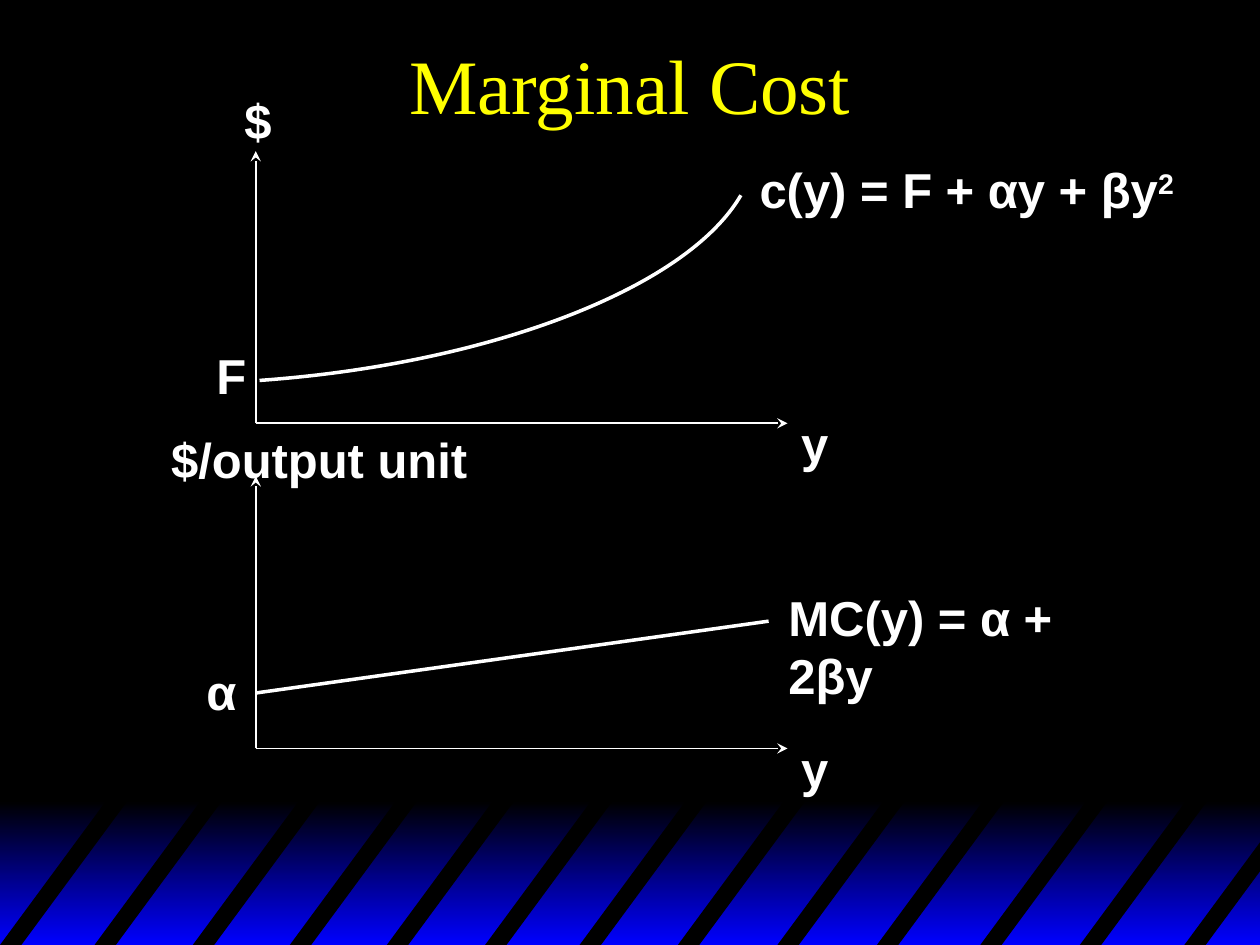
from lxml import etree
from pptx import Presentation
from pptx import util as u
from pptx.dml.color import RGBColor
from pptx.enum import shapes, text
from pptx.oxml.ns import qn

WHITE, BLACK, BLUE, YELLOW = "FFFFFF", "000000", "0000FF", "FFFF00"
SLIDE_WIDTH, SLIDE_HEIGHT = 10, 7.5
STRIPE_LEFTS = [0, 0.75, 1.53, 2.3, 3.07, 3.85, 4.6, 5.38, 6.17, 6.96, 7.78, 8.57, 9.4]
STRIPE_WIDTH, STRIPE_LEAN = 0.17, 0.84


def paint(color_format, color):
    color_format.rgb = RGBColor.from_string(color)


def write_text(frame, content, size=28, font="Arial", color=WHITE, bold=True,
               align=text.PP_ALIGN.LEFT, superscript=""):
    paragraph = frame.paragraphs[0]
    paragraph.alignment = align
    for part, baseline in ((content, 0), (superscript, 30000)):
        if not part:
            continue
        run = paragraph.add_run()
        run.text = part
        run.font.size = u.Pt(size)
        run.font.name = font
        run.font.bold = bold
        paint(run.font.color, color)
        if baseline:
            run._r.get_or_add_rPr().set("baseline", str(baseline))


def add_label(slide, content, left, top, width, wrap=False, **formatting):
    label = slide.shapes.add_textbox(u.Inches(left), u.Inches(top), u.Inches(width), u.Inches(0.57))
    label.text_frame.word_wrap = wrap
    write_text(label.text_frame, content, **formatting)


def add_line(slide, start, end, weight, arrow=False):
    line = slide.shapes.add_connector(shapes.MSO_CONNECTOR.STRAIGHT,
                                      *(u.Inches(value) for value in (*start, *end)))
    paint(line.line.color, WHITE)
    line.line.width = u.Pt(weight)
    properties = line._element.spPr
    if arrow:
        etree.SubElement(properties.find(qn("a:ln")), qn("a:tailEnd"), type="stealth")
    etree.SubElement(properties, qn("a:effectLst"))


def add_outline(slide, points, close):
    (x, y), *others = points
    builder = slide.shapes.build_freeform(u.Inches(x), u.Inches(y))
    builder.add_line_segments([(u.Inches(x), u.Inches(y)) for x, y in others], close=close)
    outline = builder.convert_to_shape()
    outline.shadow.inherit = False
    return outline


def add_curve(slide, start, first_control, second_control, end):
    curve = add_outline(slide, [start, first_control, second_control, end], close=False)
    curve.fill.background()
    paint(curve.line.color, WHITE)
    curve.line.width = u.Pt(2)
    outline_path = next(curve._element.iter(qn("a:path")))
    bezier = etree.SubElement(outline_path, qn("a:cubicBezTo"))
    for segment in outline_path.findall(qn("a:lnTo")):
        bezier.append(segment[0])
        outline_path.remove(segment)


def draw_striped_band(slide, top):
    band = slide.shapes.add_shape(shapes.MSO_SHAPE.RECTANGLE, 0, u.Inches(top),
                                  u.Inches(SLIDE_WIDTH), u.Inches(SLIDE_HEIGHT - top))
    band.shadow.inherit = False
    band.line.fill.background()
    band.fill.gradient()
    band.fill.gradient_angle = 270
    for stop, color, position in zip(band.fill.gradient_stops, (BLACK, BLUE), (0, 1)):
        paint(stop.color, color)
        stop.position = position

    height = SLIDE_HEIGHT - top
    for left in STRIPE_LEFTS:
        right = left + STRIPE_WIDTH
        tops = []
        for edge in (left, right):
            x = min(edge + STRIPE_LEAN, SLIDE_WIDTH)
            tops.append((x, SLIDE_HEIGHT - height * (x - edge) / STRIPE_LEAN))
        stripe = add_outline(slide, [(left, SLIDE_HEIGHT), *tops, (right, SLIDE_HEIGHT)], close=True)
        stripe.fill.solid()
        paint(stripe.fill.fore_color, BLACK)
        stripe.line.fill.background()


def draw_title(slide, left, top, width, height):
    title = slide.shapes.title
    title.left, title.top = u.Inches(left), u.Inches(top)
    title.width, title.height = u.Inches(width), u.Inches(height)
    title.text_frame.vertical_anchor = text.MSO_ANCHOR.MIDDLE
    write_text(title.text_frame, "Marginal Cost", size=44, font="Times New Roman",
               color=YELLOW, bold=False, align=text.PP_ALIGN.CENTER)


def draw_axes(slide, left, top, width, height):
    origin = (left, top + height)
    add_line(slide, origin, (left, top), 1, arrow=True)
    add_line(slide, origin, (left + width, top + height), 1, arrow=True)
    add_label(slide, "y", left + width + 0.01, top + height - 0.13, 0.42)


def draw_total_cost(slide, left, top, width, height):
    draw_axes(slide, left, top, width, height)
    add_curve(slide, (left + 0.03, top + 1.82), (left + 1.85, top + 1.69),
              (left + 3.42, top + 1.09), (left + 3.85, top + 0.35))
    add_label(slide, "$", left - 0.19, top - 0.53, 0.42)
    add_label(slide, "F", left - 0.41, top + 1.49, 0.44)
    add_label(slide, "c(y) = F + αy + βy", left + 3.9, top + 0.02, 3.5, superscript="2")


def draw_marginal_cost(slide, left, top, width, height):
    draw_axes(slide, left, top, width, height)
    add_line(slide, (left, top + 1.72), (left + 4.07, top + 1.15), 2)
    add_label(slide, "$/output unit", left - 0.77, top - 0.42, 2.56)
    add_label(slide, "α", left - 0.49, top + 1.42, 0.45)
    add_label(slide, "MC(y) = α + 2βy", left + 4.13, top + 0.83, 2.8, wrap=True)


def main():
    presentation = Presentation()
    presentation.slide_width = u.Inches(SLIDE_WIDTH)
    presentation.slide_height = u.Inches(SLIDE_HEIGHT)
    slide = presentation.slides.add_slide(presentation.slide_layouts[5])
    slide.background.fill.solid()
    paint(slide.background.fill.fore_color, BLACK)
    draw_striped_band(slide, 6.36)
    draw_title(slide, 0, 0, SLIDE_WIDTH, 1.33)
    draw_total_cost(slide, 2.03, 1.2, 4.22, 2.16)
    draw_marginal_cost(slide, 2.03, 3.78, 4.22, 2.16)
    presentation.save("out.pptx")


if __name__ == "__main__":
    main()
